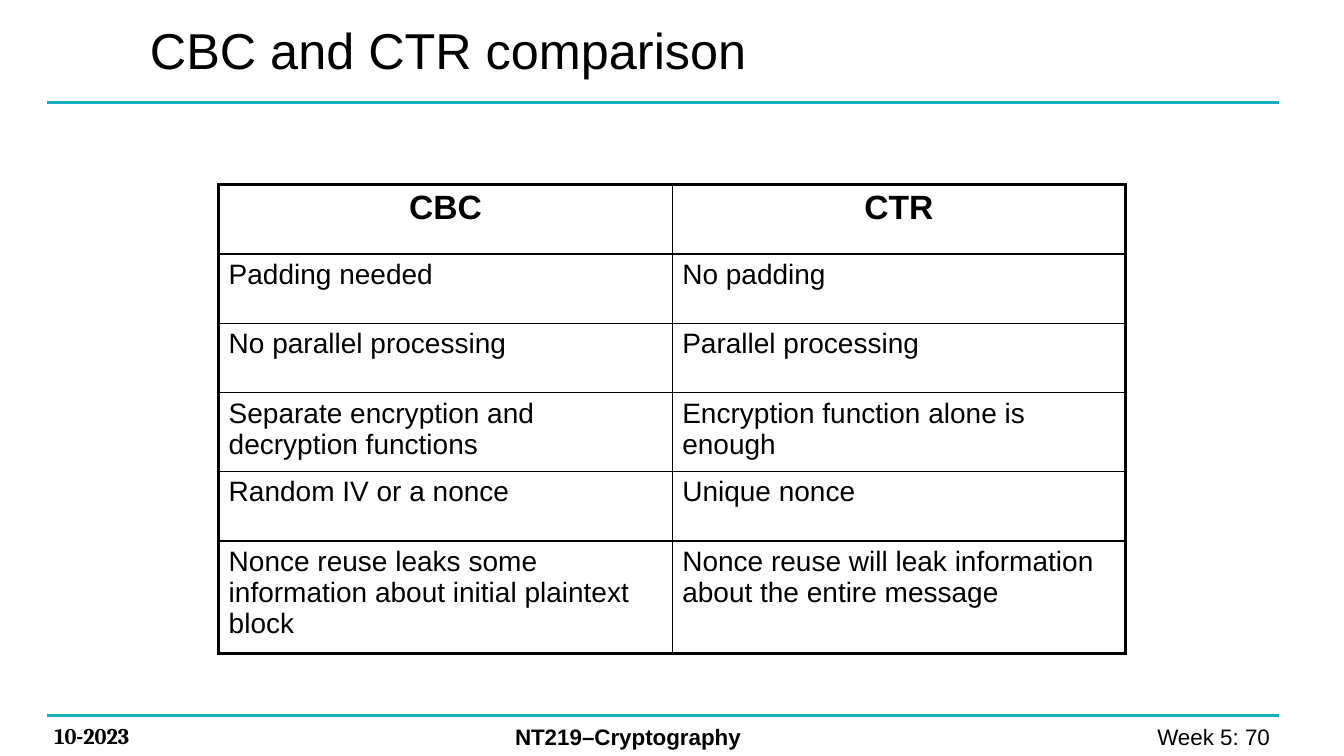
from typing import NamedTuple

from lxml.etree import SubElement
from pptx import Presentation
from pptx.dml.color import RGBColor
from pptx.enum.shapes import MSO_CONNECTOR
from pptx.enum.text import MSO_ANCHOR, PP_ALIGN
from pptx.oxml.ns import qn
from pptx.util import Cm, Pt

BLACK, TEAL = "000000", "16AFC2"
THIN, THICK = 1, 2.25


class Label(NamedTuple):
    text: str
    left: float
    top: float
    width: float
    height: float
    size: float = 16
    font: str = "Arial"
    bold: bool = False
    align: PP_ALIGN = PP_ALIGN.LEFT


class Row(NamedTuple):
    height: float
    cbc: str
    ctr: str


RULE_LEFT, RULE_RIGHT = 1.19, 32.23
RULE_TOPS = (2.59, 18.03)

LABELS = (
    Label("CBC and CTR comparison", 3.53, -0.28, 22.86, 3.07, size=36),
    Label("10-2023", 1.12, 18.06, 4.52, 0.94, font="Cambria", bold=True),
    Label("NT219–Cryptography", 12.73, 18.08, 10.39, 0.94, bold=True),
    Label("Week 5: 70 ", 24.94, 18.08, 7.47, 0.94, align=PP_ALIGN.RIGHT),
)

TABLE_LEFT, TABLE_TOP, COLUMN_WIDTH = 5.51, 4.65, 11.43
ROWS = (
    Row(1.75, "CBC", "CTR"),
    Row(1.75, "Padding needed", "No padding"),
    Row(1.75, "No parallel processing", "Parallel processing"),
    Row(1.98, "Separate encryption and decryption functions",
        "Encryption function alone is enough"),
    Row(1.75, "Random IV or a nonce", "Unique nonce"),
    Row(2.84, "Nonce reuse leaks some information about initial plaintext block",
        "Nonce reuse will leak information about the entire message"),
)


def color(value: str) -> RGBColor:
    return RGBColor.from_string(value)


def write(tf, text: str, *, size: float, font: str = "Arial",
          bold: bool = False, align: PP_ALIGN = PP_ALIGN.LEFT) -> None:
    p = tf.paragraphs[0]
    p.alignment = align
    r = p.add_run()
    r.text = text
    r.font.size = Pt(size)
    r.font.name = font
    r.font.bold = bold
    r.font.color.rgb = color(BLACK)


def draw_label(s, label: Label) -> None:
    sp = s.shapes.add_textbox(Cm(label.left), Cm(label.top),
                              Cm(label.width), Cm(label.height))
    tf = sp.text_frame
    tf.word_wrap = True
    tf.vertical_anchor = MSO_ANCHOR.MIDDLE
    write(tf, label.text, size=label.size, font=label.font,
          bold=label.bold, align=label.align)


def draw_rule(s, top: float) -> None:
    rule = s.shapes.add_connector(MSO_CONNECTOR.STRAIGHT, Cm(RULE_LEFT), Cm(top),
                                  Cm(RULE_RIGHT), Cm(top))
    rule.line.color.rgb = color(TEAL)
    rule.line.width = Pt(THICK)
    SubElement(rule._element.spPr, qn("a:effectLst"))


def set_border(cell, side: str, width: float) -> None:
    tcPr = cell._tc.get_or_add_tcPr()
    ln = SubElement(tcPr, qn(f"a:ln{side}"), w=str(Pt(width)))
    fill = SubElement(ln, qn("a:solidFill"))
    SubElement(fill, qn("a:srgbClr"), val=BLACK)


def draw_table(s, rows: tuple[Row, ...]) -> None:
    frame = s.shapes.add_table(len(rows), 2, Cm(TABLE_LEFT), Cm(TABLE_TOP),
                               Cm(2 * COLUMN_WIDTH), Cm(sum(r.height for r in rows)))
    table = frame.table
    table.first_row = table.horz_banding = False
    for column in table.columns:
        column.width = Cm(COLUMN_WIDTH)
    for i, row in enumerate(rows):
        table.rows[i].height = Cm(row.height)
        header = i == 0
        for j, text in enumerate((row.cbc, row.ctr)):
            cell = table.cell(i, j)
            write(cell.text_frame, text, size=24 if header else 20, bold=header,
                  align=PP_ALIGN.CENTER if header else PP_ALIGN.LEFT)
            # Thick outer frame, thin inner grid
            outer = {"L": j == 0, "R": j == 1, "T": header, "B": i == len(rows) - 1}
            for side, is_outer in outer.items():
                set_border(cell, side, THICK if is_outer else THIN)
            cell.fill.background()


def main() -> None:
    prs = Presentation()
    prs.slide_width, prs.slide_height = Cm(33.87), Cm(19.05)
    s = prs.slides.add_slide(prs.slide_layouts[6])

    # Header and footer rules
    for top in RULE_TOPS:
        draw_rule(s, top)

    # Title and footer texts
    for label in LABELS:
        draw_label(s, label)

    # Comparison table
    draw_table(s, ROWS)

    prs.save("out.pptx")


if __name__ == "__main__":
    main()
